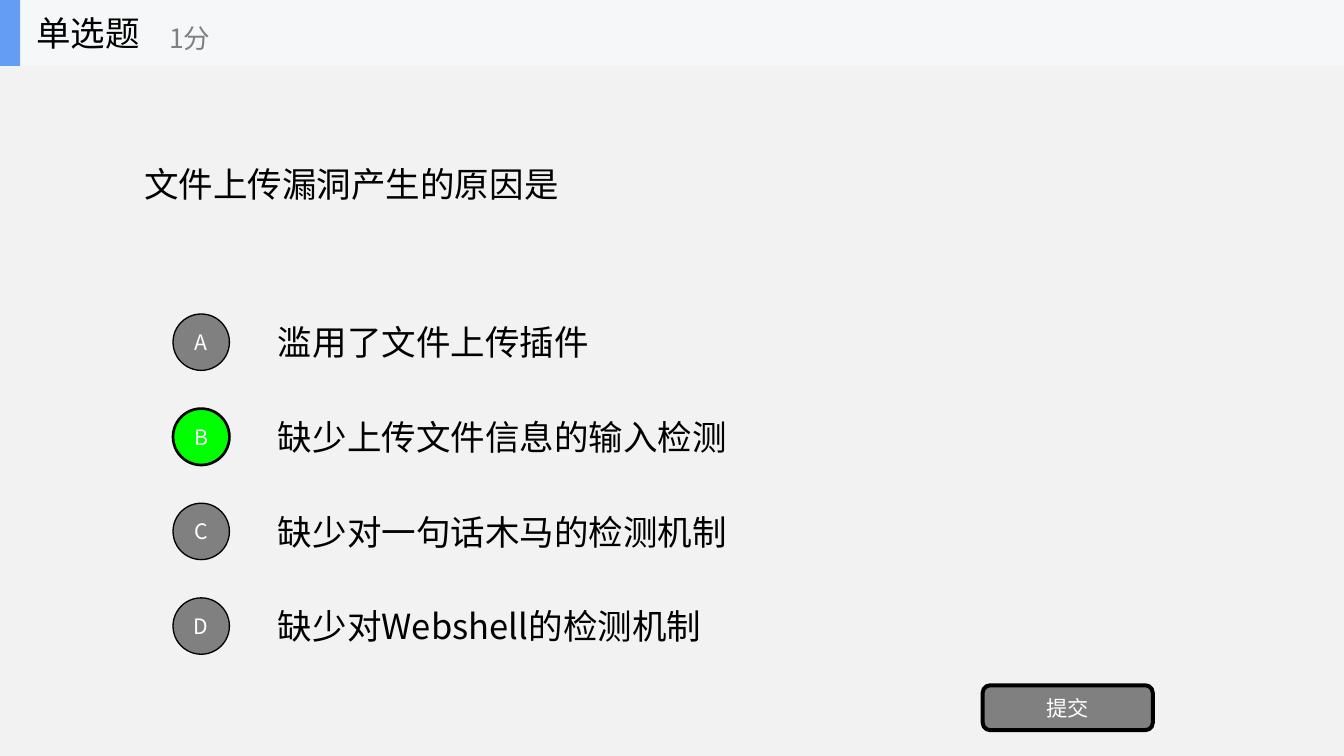
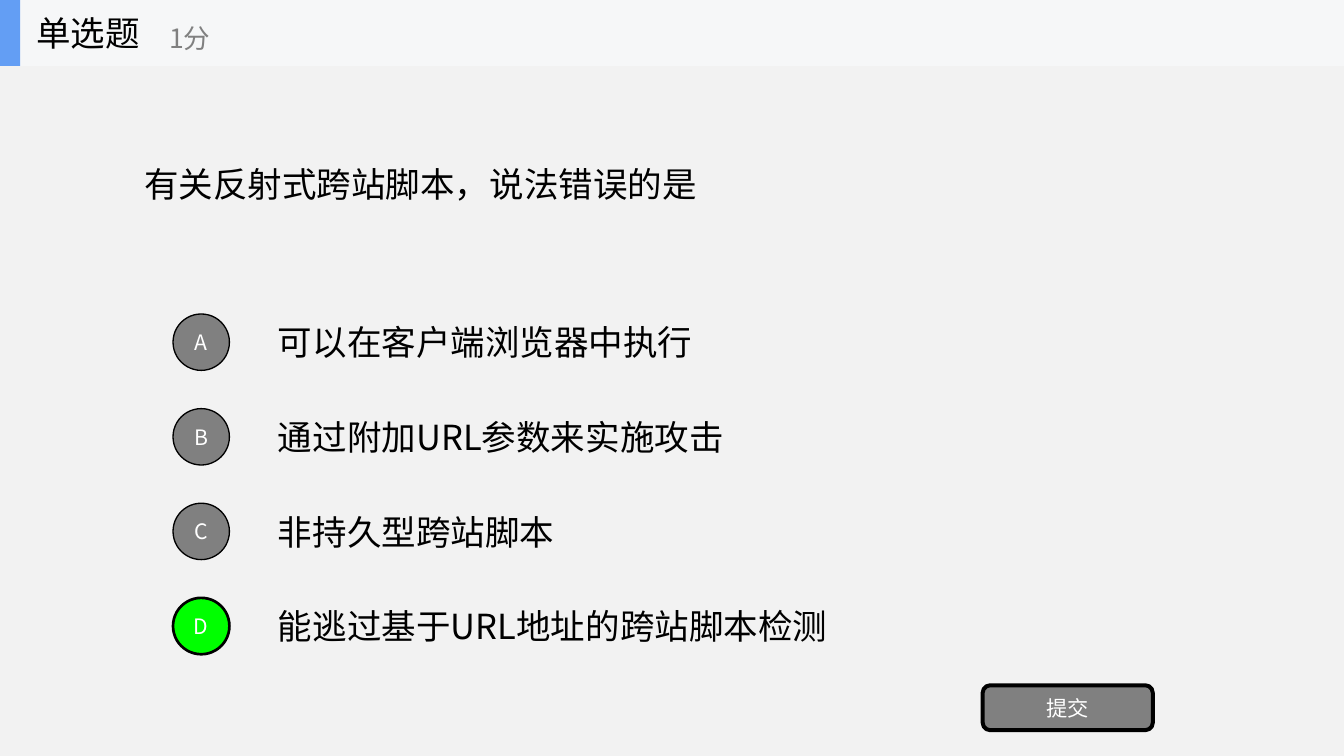
"""Build two single-choice quiz slides."""
from lxml import etree
from pptx import Presentation
from pptx.dml.color import RGBColor
from pptx.enum.shapes import MSO_SHAPE
from pptx.enum.text import MSO_ANCHOR, PP_ALIGN
from pptx.oxml.ns import qn
from pptx.util import Inches, Pt

RECT = MSO_SHAPE.RECTANGLE
ROUND_RECT = MSO_SHAPE.ROUNDED_RECTANGLE
OVAL = MSO_SHAPE.OVAL
MIDDLE = MSO_ANCHOR.MIDDLE
LEFT, CENTER = PP_ALIGN.LEFT, PP_ALIGN.CENTER

FONT = "Noto Sans CJK SC"
BACKGROUND = RGBColor(0xF2, 0xF2, 0xF2)
HEADER = RGBColor(0xF6, 0xF7, 0xF8)
ACCENT = RGBColor(0x63, 0x9E, 0xF4)
GRAY = RGBColor(0x80, 0x80, 0x80)
GREEN = RGBColor(0x00, 0xFF, 0x00)
BLACK = RGBColor(0x00, 0x00, 0x00)
WHITE = RGBColor(0xFF, 0xFF, 0xFF)

WIDTH, HEIGHT = 14.06, 7.91
HEADER_H = 0.69
ROW_TOP, ROW_H, ROW_PITCH = 3.21, 0.74, 0.99
BADGE = 0.59

QUESTIONS = [
    ("文件上传漏洞产生的原因是", "B",
     ["滥用了文件上传插件", "缺少上传文件信息的输入检测",
      "缺少对一句话木马的检测机制", "缺少对Webshell的检测机制"]),
    ("有关反射式跨站脚本，说法错误的是", "D",
     ["可以在客户端浏览器中执行", "通过附加URL参数来实施攻击",
      "非持久型跨站脚本", "能逃过基于URL地址的跨站脚本检测"]),
]


class Quiz:
    def __init__(self, prs):
        self.prs = prs
        self.shapes = None

    def new_slide(self):
        s = self.prs.slides.add_slide(self.prs.slide_layouts[6])
        s.background.fill.solid()
        s.background.fill.fore_color.rgb = BACKGROUND
        self.shapes = s.shapes

    def set_text(self, sp, text, size, color, align):
        tf = sp.text_frame
        tf.word_wrap = True
        tf.vertical_anchor = MIDDLE
        tf.text = text
        p = tf.paragraphs[0]
        p.alignment = align
        r = p.runs[0]
        r.font.name = FONT
        r.font.size = Pt(size)
        r.font.color.rgb = color
        etree.SubElement(r.font._element, qn("a:ea"), typeface=FONT)

    def text(self, x, y, w, h, text, size=26, color=BLACK):
        sp = self.shapes.add_textbox(Inches(x), Inches(y), Inches(w), Inches(h))
        self.set_text(sp, text, size, color, LEFT)

    def shape(self, kind, x, y, w, h, fill, line=0):
        sp = self.shapes.add_shape(kind, Inches(x), Inches(y), Inches(w), Inches(h))
        sp.shadow.inherit = False
        sp.fill.solid()
        sp.fill.fore_color.rgb = fill
        if line:
            sp.line.color.rgb = BLACK
            sp.line.width = Pt(line)
        else:
            sp.line.fill.background()
        return sp

    def button(self, kind, x, y, w, h, fill, line, text):
        sp = self.shape(kind, x, y, w, h, fill, line)
        self.set_text(sp, text, 16, WHITE, CENTER)

    def option(self, row, letter, text, correct):
        y = ROW_TOP + row * ROW_PITCH
        self.text(2.81, y, 9.84, ROW_H, text)
        fill, line = (GREEN, 2) if correct else (GRAY, 1)
        self.button(OVAL, 1.81, y + (ROW_H - BADGE) / 2, BADGE, BADGE,
                    fill, line, letter)

    def header(self, title, score):
        self.shapes = self.shapes.add_group_shape().shapes
        self.shape(RECT, 0, 0, WIDTH, HEADER_H, HEADER)
        self.shape(RECT, 0, 0, 0.21, HEADER_H, ACCENT)
        self.text(0.28, 0, 2.08, HEADER_H, title)
        self.text(1.67, 0.12, 2.5, 0.56, score, 20, GRAY)

    def question(self, question, answer, options):
        self.new_slide()
        self.text(1.41, HEADER_H, 11.25, 2.47, question)
        for row, (letter, text) in enumerate(zip("ABCD", options)):
            self.option(row, letter, text, letter == answer)
        self.button(ROUND_RECT, 10.28, 7.17, 1.78, 0.47, GRAY, 3, "提交")
        self.header("单选题", "1分")


def main():
    prs = Presentation()
    prs.slide_width = Inches(WIDTH)
    prs.slide_height = Inches(HEIGHT)
    quiz = Quiz(prs)
    for question, answer, options in QUESTIONS:
        quiz.question(question, answer, options)
    prs.save("out.pptx")


if __name__ == "__main__":
    main()
